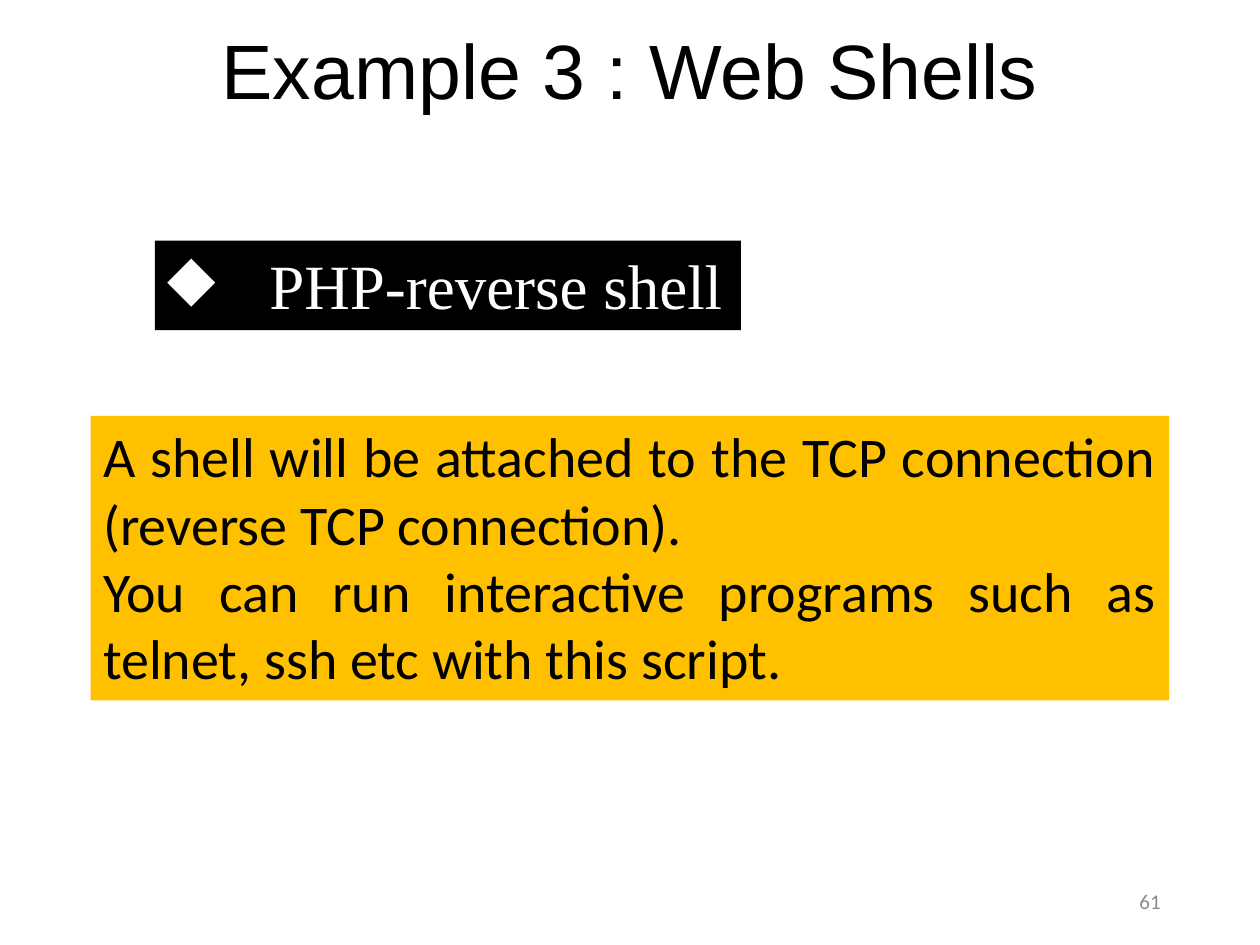
"""Build the web shells example slide."""
from dataclasses import dataclass
from typing import Optional

from lxml.etree import SubElement
from pptx import Presentation
from pptx.dml.color import RGBColor
from pptx.enum.text import MSO_ANCHOR, PP_ALIGN
from pptx.oxml.ns import qn
from pptx.util import Inches, Pt

COLORS = {
    "black": "000000",
    "white": "FFFFFF",
    "amber": "FFC000",
    "gray": "8C8C8C",
}


@dataclass
class TextBlock:
    left: float
    top: float
    width: float
    height: float
    paragraphs: list[str]
    font: str
    size: int
    color: str
    align: PP_ALIGN
    anchor: MSO_ANCHOR = MSO_ANCHOR.TOP
    fill: Optional[str] = None
    wrap: bool = True
    bullet: Optional[str] = None
    indent: float = 0
    line_spacing: float = 1.0


def color_of(name: str) -> RGBColor:
    return RGBColor.from_string(COLORS[name])


def add_bullet(paragraph, character: str, indent: float) -> None:
    properties = paragraph._p.get_or_add_pPr()
    properties.set("marL", str(Inches(indent)))
    properties.set("indent", str(-Inches(indent)))
    SubElement(properties, qn("a:buChar")).set("char", character)


def add_text_block(slide, block: TextBlock) -> None:
    shape = slide.shapes.add_textbox(
        Inches(block.left), Inches(block.top), Inches(block.width), Inches(block.height)
    )
    if block.fill:
        shape.fill.solid()
        shape.fill.fore_color.rgb = color_of(block.fill)
    frame = shape.text_frame
    frame.word_wrap = block.wrap
    frame.vertical_anchor = block.anchor
    for index, text in enumerate(block.paragraphs):
        paragraph = frame.add_paragraph() if index else frame.paragraphs[0]
        paragraph.alignment = block.align
        paragraph.line_spacing = block.line_spacing
        if block.bullet:
            add_bullet(paragraph, block.bullet, block.indent)
        run = paragraph.add_run()
        run.text = text
        run.font.name = block.font
        run.font.size = Pt(block.size)
        run.font.color.rgb = color_of(block.color)


BLOCKS = [
    TextBlock(0.69, 0.18, 8.62, 0.82, ["Example 3 : Web Shells"], "Arial", 44, "black",
              PP_ALIGN.CENTER, MSO_ANCHOR.MIDDLE, line_spacing=0.9),
    TextBlock(7.06, 6.95, 2.25, 0.4, ["61"], "Calibri", 12, "gray",
              PP_ALIGN.RIGHT, MSO_ANCHOR.MIDDLE),
    TextBlock(1.23, 1.91, 4.65, 0.71, ["PHP-reverse shell"], "Times New Roman", 36, "white",
              PP_ALIGN.LEFT, fill="black", wrap=False, bullet="◆", indent=0.81),
    TextBlock(0.72, 3.3, 8.56, 2.26, [
        "A shell will be attached to the TCP connection (reverse TCP connection).",
        "You can run interactive programs such as telnet, ssh etc with this script.",
    ], "Calibri", 32, "black", PP_ALIGN.JUSTIFY, fill="amber"),
]


def main() -> None:
    presentation = Presentation()
    presentation.slide_width = Inches(10)
    presentation.slide_height = Inches(7.5)
    slide = presentation.slides.add_slide(presentation.slide_layouts[6])
    for block in BLOCKS:
        add_text_block(slide, block)
    presentation.save("out.pptx")


if __name__ == "__main__":
    main()
